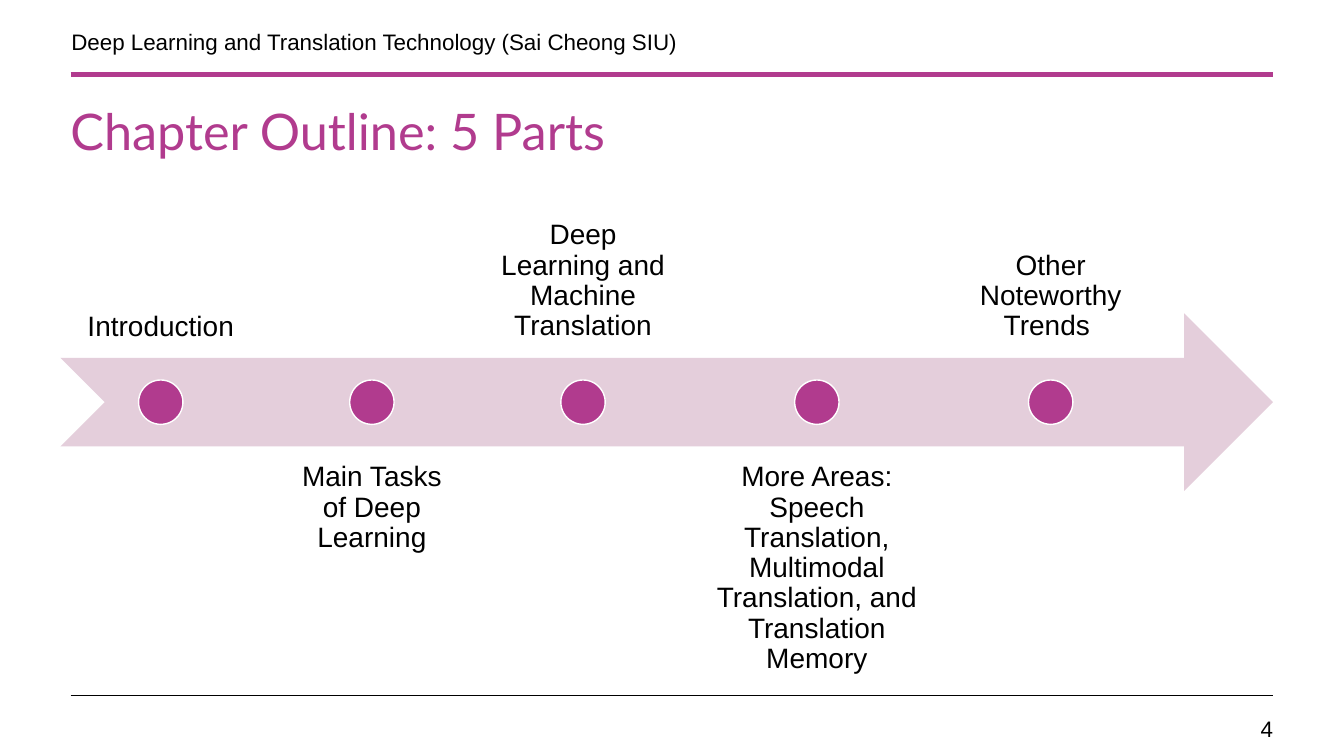
from lxml.etree import SubElement
from pptx import Presentation
from pptx.dml.color import RGBColor
from pptx.enum.shapes import MSO_CONNECTOR as Connector, MSO_SHAPE as Shape
from pptx.enum.text import MSO_ANCHOR as Anchor, PP_ALIGN as Align
from pptx.oxml.ns import qn
from pptx.util import Pt

PX = 914400 // 200
PURPLE, PINK, BLACK, WHITE = "B13B8E", "E4CEDB", "000000", "FFFFFF"

HEADER = "Deep Learning and Translation Technology (Sai Cheong SIU)"
TITLE = "Chapter Outline: 5 Parts"
PAGE_NUMBER = "4"
PARTS = [
    ("Introduction", 398),
    ("Main Tasks of Deep Learning", 398),
    ("Deep Learning and Machine Translation", 398),
    ("More Areas: Speech Translation, Multimodal Translation, and Translation Memory", 488),
    ("Other Noteworthy Trends ", 398),
]
RULES = [(148, PURPLE, 3), (1380, BLACK, 0.5)]
RULE_LEFT, RULE_RIGHT = 140, 2526
ARROW = (120, 622, 2406, 352)
LABEL_GAP, LABEL_HEIGHT, LABEL_INSET = 21, 352, 32
UPPER_TOP, LOWER_TOP = 358, 886
DOT = 88


def colour(value):
    return RGBColor.from_string(value)


def scaled(*lengths):
    return [length * PX for length in lengths]


def add_text(page, area, text, size, frame_format, para_format, font="Arial", ink=BLACK):
    frame = page.shapes.add_textbox(*scaled(*area)).text_frame
    for name, value in {"word_wrap": True, **frame_format}.items():
        setattr(frame, name, value)
    para = frame.paragraphs[0]
    for name, value in para_format.items():
        setattr(para, name, value)
    span = para.add_run()
    span.text = text
    for name, value in {"name": font, "size": Pt(size)}.items():
        setattr(span.font, name, value)
    span.font.color.rgb = colour(ink)


def add_filled(page, kind, area, fill, outline=None):
    shape = page.shapes.add_shape(kind, *scaled(*area))
    shape.shadow.inherit = False
    shape.fill.solid()
    shape.fill.fore_color.rgb = colour(fill)
    if outline:
        shape.line.color.rgb = colour(outline)
        shape.line.width = Pt(1)
    else:
        shape.line.fill.background()


def add_rule(page, top, ink, weight):
    rule = page.shapes.add_connector(
        Connector.STRAIGHT, *scaled(RULE_LEFT, top, RULE_RIGHT, top))
    rule.line.color.rgb = colour(ink)
    rule.line.width = Pt(weight)
    SubElement(rule._element.spPr, qn("a:effectLst"))


def add_timeline(page):
    add_filled(page, Shape.NOTCHED_RIGHT_ARROW, ARROW, PINK)
    left, top, _, height = ARROW
    dot_top = top + (height - DOT) // 2
    sides = ("left", "top", "right", "bottom")
    insets = {f"margin_{side}": LABEL_INSET * PX for side in sides}
    para_format = {"alignment": Align.CENTER, "line_spacing": 0.9}
    for index, (text, width) in enumerate(PARTS):
        label_top, anchor = [(UPPER_TOP, Anchor.BOTTOM), (LOWER_TOP, Anchor.TOP)][index % 2]
        add_text(page, (left, label_top, width, LABEL_HEIGHT), text, 20,
                 {"vertical_anchor": anchor, **insets}, para_format)
        dot_left = left + (width - DOT) // 2
        add_filled(page, Shape.OVAL, (dot_left, dot_top, DOT, DOT), PURPLE, WHITE)
        left += width + LABEL_GAP


def main():
    deck = Presentation()
    deck.slide_width, deck.slide_height = scaled(2667, 1500)
    page = deck.slides.add_slide(deck.slide_layouts[6])
    for rule in RULES:
        add_rule(page, *rule)
    add_text(page, (120, 208, 2404, 236), TITLE, 36, {"vertical_anchor": Anchor.TOP},
             {"line_spacing": 0.85}, "Lato", PURPLE)
    add_timeline(page)
    add_text(page, (2342, 1410, 204, 68), PAGE_NUMBER, 16, {}, {"alignment": Align.RIGHT})
    add_text(page, (122, 28, 1260, 92), HEADER, 16, {"vertical_anchor": Anchor.BOTTOM}, {})
    deck.save("out.pptx")


if __name__ == "__main__":
    main()
